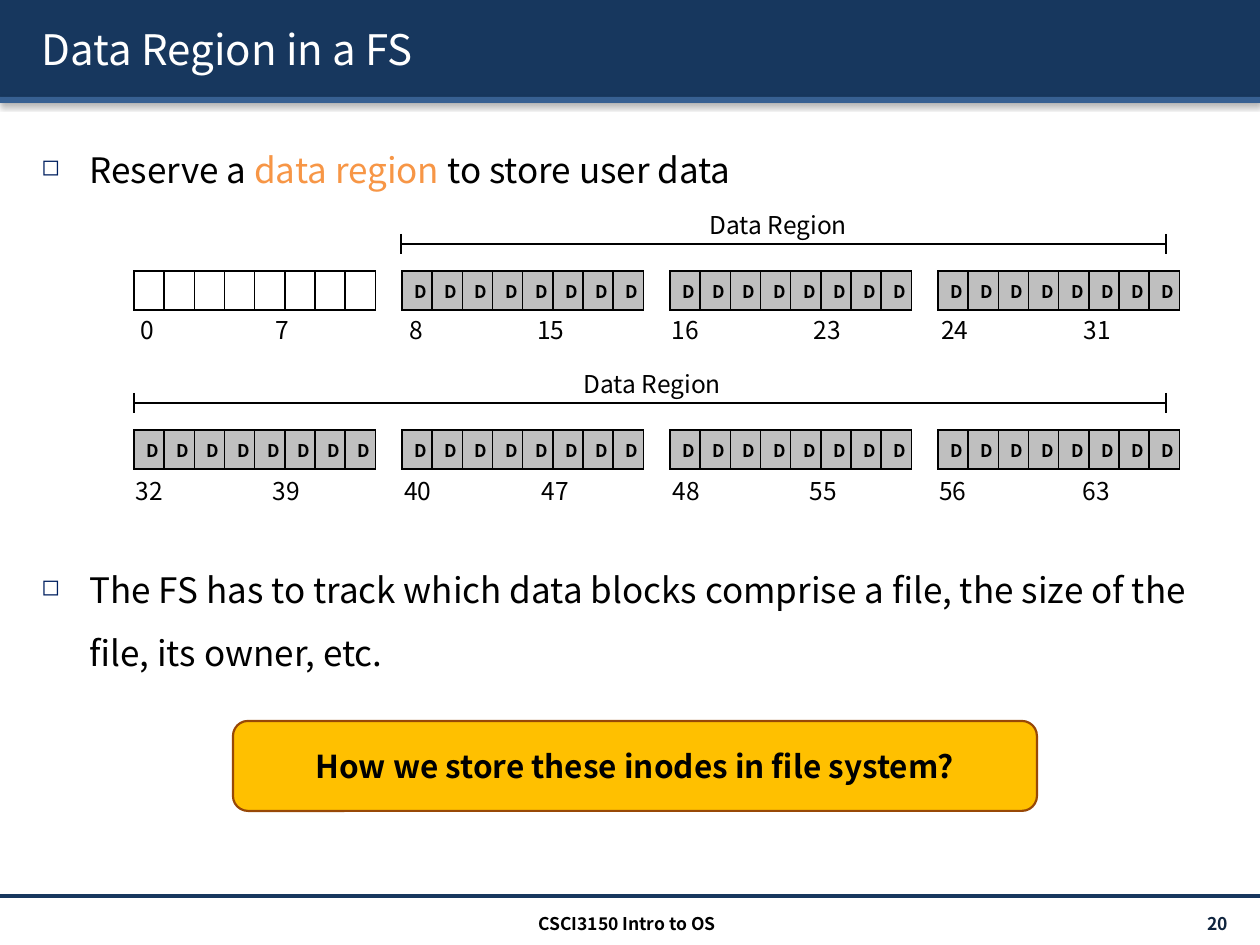
from lxml.etree import SubElement
from pptx import Presentation
from pptx.dml.color import RGBColor
from pptx.enum.shapes import MSO_CONNECTOR, MSO_SHAPE
from pptx.enum.text import MSO_ANCHOR, PP_ALIGN
from pptx.oxml import parse_xml
from pptx.oxml.ns import nsdecls, qn
from pptx.util import Pt

COLORS = {"navy": "17375E", "blue": "376092", "bullet": "002060", "number": "0F243E",
          "orange": "F79646", "amber": "FFC000", "brown": "984807", "gray": "BFBFBF",
          "white": "FFFFFF", "black": "000000"}
FONT = "Noto Sans CJK KR"
SCALE = 914400 / 126


def emu(px):
    return round(px * SCALE)


def rgb(name):
    return RGBColor.from_string(COLORS[name])


def shadow_effect(blur, distance, angle, opacity):
    return parse_xml(
        f'<a:effectLst {nsdecls("a")}><a:outerShdw blurRad="{Pt(blur)}" dist="{Pt(distance)}" '
        f'dir="{angle * 60000}" algn="tl" rotWithShape="0"><a:srgbClr val="{COLORS["black"]}">'
        f'<a:alpha val="{opacity * 1000}"/></a:srgbClr></a:outerShdw></a:effectLst>')


class SlideBuilder:
    def __init__(self, slide):
        self.slide = slide
        self.shapes = slide.shapes

    def add_runs(self, paragraph, runs, size, bold=None):
        for text, color in runs:
            run = paragraph.add_run()
            run.text = text
            run.font.name = FONT
            run.font.size = Pt(size)
            run.font.bold = bold
            run.font.color.rgb = rgb(color)

    def title(self, text, left, top, width, height):
        title = self.shapes.title
        self.shapes._spTree.append(title._element)
        title.left, title.top, title.width, title.height = map(emu, (left, top, width, height))
        frame = title.text_frame
        frame.vertical_anchor = MSO_ANCHOR.MIDDLE
        paragraph = frame.paragraphs[0]
        paragraph.alignment = PP_ALIGN.LEFT
        self.add_runs(paragraph, [(text, "white")], 24)
        fill = paragraph.runs[0]._r.rPr.find(qn("a:solidFill"))
        fill.addnext(shadow_effect(0, 1.5, 45, 100))

    def text(self, runs, left, top, width, height, size, bold=None, align=PP_ALIGN.LEFT,
             anchor=MSO_ANCHOR.TOP):
        frame = self.shapes.add_textbox(*map(emu, (left, top, width, height))).text_frame
        frame.word_wrap = True
        frame.vertical_anchor = anchor
        paragraph = frame.paragraphs[0]
        paragraph.alignment = align
        self.add_runs(paragraph, runs, size, bold)
        return paragraph

    def bullet(self, runs, top, height):
        paragraph = self.text(runs, 29, top, 1211, height, 20)
        properties = paragraph._p.get_or_add_pPr()
        properties.set("marL", str(emu(48)))
        properties.set("indent", str(emu(-48)))
        color = SubElement(properties, qn("a:buClr"))
        SubElement(color, qn("a:srgbClr"), val=COLORS["bullet"])
        SubElement(properties, qn("a:buSzPct"), val="65000")
        SubElement(properties, qn("a:buChar"), char="◻")
        paragraph.line_spacing = 1.5

    def block_range(self, first, left, top, tab):
        paragraph = self.text([(f"{first}\t{first + 7}", "black")], left, top, 260, 43, 14)
        stops = SubElement(paragraph._p.get_or_add_pPr(), qn("a:tabLst"))
        SubElement(stops, qn("a:tab"), pos=str(emu(tab)), algn="l")

    def shape(self, kind, left, top, width, height, fill, line=None, effect=None):
        shape = self.shapes.add_shape(kind, *map(emu, (left, top, width, height)))
        shape.shadow.inherit = False
        shape.fill.solid()
        shape.fill.fore_color.rgb = rgb(fill)
        if line:
            shape.line.color.rgb = rgb(line)
            shape.line.width = Pt(1.25)
        else:
            shape.line.fill.background()
        if effect is not None:
            properties = shape._element.spPr
            properties.replace(properties.find(qn("a:effectLst")), effect)
        return shape

    def callout(self, text, left, top, width, height):
        shape = self.shape(MSO_SHAPE.ROUNDED_RECTANGLE, left, top, width, height, "amber", "brown")
        frame = shape.text_frame
        frame.word_wrap = True
        frame.vertical_anchor = MSO_ANCHOR.MIDDLE
        paragraph = frame.paragraphs[0]
        paragraph.alignment = PP_ALIGN.CENTER
        self.add_runs(paragraph, [(text, "black")], 18, True)

    def line(self, x1, y1, x2, y2, color="black", width=1):
        line = self.shapes.add_connector(MSO_CONNECTOR.STRAIGHT, *map(emu, (x1, y1, x2, y2)))
        line.line.color.rgb = rgb(color)
        line.line.width = Pt(width)
        SubElement(line._element.spPr, qn("a:effectLst"))

    def region_span(self, left, right, middle, label_left):
        for x in (left, right):
            self.line(x, middle - 10, x, middle + 10)
        self.line(left, middle, right, middle)
        self.text([("Data Region", "black")], label_left, middle - 40, 171, 43, 14)

    def block_group(self, left, top, letter, fill):
        table = self.shapes.add_table(1, 8, *map(emu, (left, top, 229, 39))).table
        table.first_row = False
        table.horz_banding = False
        for column in table.columns:
            column.width = emu(28.7)
        for cell in table.iter_cells():
            properties = cell._tc.get_or_add_tcPr()
            for side in ("lnL", "lnR", "lnT", "lnB"):
                border = SubElement(properties, qn(f"a:{side}"), w=str(Pt(1)))
                paint = SubElement(border, qn("a:solidFill"))
                SubElement(paint, qn("a:srgbClr"), val=COLORS["black"])
            cell.fill.solid()
            cell.fill.fore_color.rgb = rgb(fill)
            cell.vertical_anchor = MSO_ANCHOR.MIDDLE
            paragraph = cell.text_frame.paragraphs[0]
            paragraph.alignment = PP_ALIGN.CENTER
            if letter:
                self.add_runs(paragraph, [(letter, "black")], 10, True)
            else:
                SubElement(paragraph._p, qn("a:endParaRPr"), sz="1000")


def main():
    deck = Presentation()
    deck.slide_width, deck.slide_height = emu(1260), emu(945)
    page = SlideBuilder(deck.slides.add_slide(deck.slide_layouts[5]))

    for top, height, fill in ((0, 97, "navy"), (97, 6, "blue")):
        page.shape(MSO_SHAPE.RECTANGLE, 0, top, 1260, height, fill,
                   effect=shadow_effect(3.1, 1.6, 90, 38))
    page.line(0, 896, 1260, 896, "navy", 2)
    page.title("Data Region in a FS", 29, 8, 1211, 81)

    page.bullet([("Reserve a ", "black"), ("data region", "orange"),
                 (" to store user data", "black")], 121, 76)
    page.bullet([("The FS has to track which data blocks comprise a file, "
                  "the size of the file, its owner, etc.", "black")], 541, 140)

    block_rows = (
        (271, 309, ((128, 135), (397, 128), (659, 142), (929, 142))),
        (430, 470, ((123, 137), (392, 137), (660, 137), (927, 143))),
    )
    for row, (table_top, range_top, ranges) in enumerate(block_rows):
        for column, (range_left, tab) in enumerate(ranges):
            group = row * 4 + column
            letter, fill = ("D", "gray") if group else ("", "white")
            page.block_group(134 + 268 * column, table_top, letter, fill)
            page.block_range(group * 8, range_left, range_top, tab)

    page.region_span(401, 1166, 244, 697)
    page.region_span(134, 1166, 403, 571)

    page.callout("How we store these inodes in file system?", 233, 721, 804, 90)
    page.text([("CSCI3150 Intro to OS", "black")], 418, 907, 418, 30, 10, True, PP_ALIGN.CENTER)
    page.text([("20", "number")], 1097, 908, 143, 30, 10, True, PP_ALIGN.RIGHT, MSO_ANCHOR.MIDDLE)
    deck.save("out.pptx")


if __name__ == "__main__":
    main()
